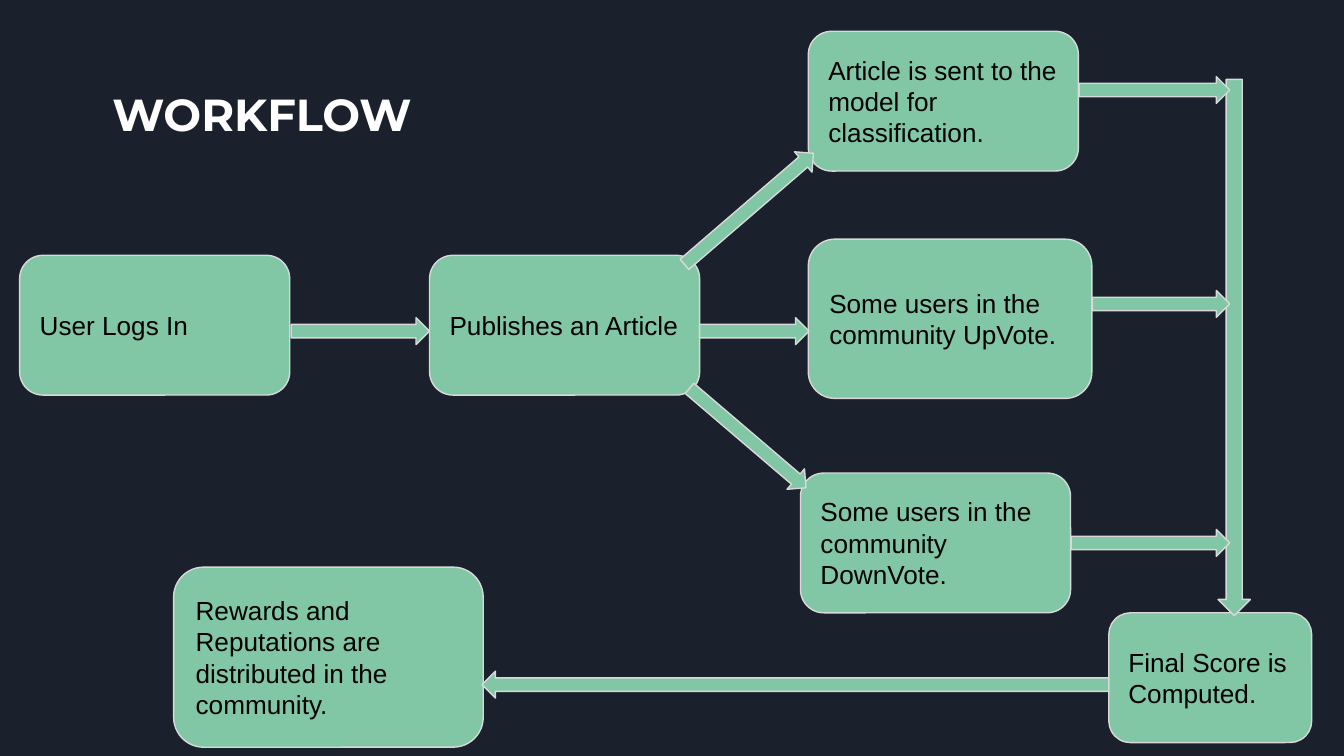
import math
from dataclasses import dataclass

from pptx import Presentation
from pptx import util as u
from pptx.dml.color import RGBColor
from pptx.enum import shapes, text


@dataclass(frozen=True)
class Theme:
    background: str = "1B212C"
    fill: str = "82C7A5"
    outline: str = "D9D9D9"
    body_color: str = "000000"
    title_color: str = "FFFFFF"
    body_font: str = "Arial"
    title_font: str = "Montserrat"
    body_size: int = 14
    title_size: int = 24
    outline_width: float = 0.75


@dataclass(frozen=True)
class Step:
    label: str
    column: float
    row: float
    columns: float = 20.1
    rows: float = 10.4


@dataclass(frozen=True)
class Arrow:
    start: tuple[float, float]
    end: tuple[float, float]
    thickness: float = 2


THEME = Theme()
SLIDE_WIDTH = u.Inches(10)
SLIDE_HEIGHT = SLIDE_WIDTH * 9 // 16
GRID_COLUMNS = 100
CELL = SLIDE_WIDTH / GRID_COLUMNS

LOGIN = Step("User Logs In", 1.46, 19)
PUBLISH = Step("Publishes an Article", 31.96, 19)
CLASSIFY = Step("Article is sent to the model for classification.", 60.14, 2.33)
UPVOTE = Step("Some users in the community UpVote.", 60.14, 17.8, 21.1, 11.85)
DOWNVOTE = Step("Some users in the community DownVote.", 59.56, 35.2)
REWARDS = Step("Rewards and Reputations are distributed in the community.", 12.92, 42.2, 23.04, 13.4)
SCORE = Step("Final Score is Computed.", 82.5, 45.6, 15.1, 9.66)
STEPS = [LOGIN, PUBLISH, CLASSIFY, UPVOTE, SCORE, REWARDS, DOWNVOTE]

MAIN_ROW = 24.64
REWARD_ROW = 50.94
COLLECTOR_COLUMN = 91.5
COLLECTED = [(CLASSIFY, 6.7), (UPVOTE, 22.62), (DOWNVOTE, 40.4)]


def right_edge(step: Step) -> float:
    return step.column + step.columns


ARROWS = [
    Arrow((right_edge(LOGIN) + 0.1, MAIN_ROW), (PUBLISH.column, MAIN_ROW)),
    Arrow((50.93, 19.67), (60.53, 11.4)),
    Arrow((91.83, 5.9), (91.83, 45.8), thickness=2.4),
    Arrow((SCORE.column, REWARD_ROW), (right_edge(REWARDS) - 0.1, REWARD_ROW)),
    Arrow((right_edge(PUBLISH), MAIN_ROW), (UPVOTE.column + 0.05, MAIN_ROW)),
    Arrow((51.3, 28.9), (59.97, 36.3)),
    *(Arrow((right_edge(step) + 0.05, row), (COLLECTOR_COLUMN, row)) for step, row in COLLECTED),
]


def cells(*counts: float) -> list[int]:
    return [round(count * CELL) for count in counts]


def write(shape, wording: str, font: str, size: int, color: str, bold: bool, anchor) -> None:
    frame = shape.text_frame
    frame.word_wrap = True
    frame.vertical_anchor = anchor
    frame.margin_left = frame.margin_right = frame.margin_top = frame.margin_bottom = u.Inches(0.1)
    paragraph = frame.paragraphs[0]
    paragraph.alignment = text.PP_ALIGN.LEFT
    run = paragraph.add_run()
    run.text = wording
    run.font.name = font
    run.font.size = u.Pt(size)
    run.font.bold = bold
    run.font.color.rgb = RGBColor.from_string(color)


def add_green_shape(slide, kind, column: float, row: float, columns: float, rows: float):
    shape = slide.shapes.add_shape(kind, *cells(column, row, columns, rows))
    shape.shadow.inherit = False
    shape.fill.solid()
    shape.fill.fore_color.rgb = RGBColor.from_string(THEME.fill)
    shape.line.color.rgb = RGBColor.from_string(THEME.outline)
    shape.line.width = u.Pt(THEME.outline_width)
    return shape


def add_step(slide, step: Step) -> None:
    kind = shapes.MSO_SHAPE.ROUNDED_RECTANGLE
    shape = add_green_shape(slide, kind, step.column, step.row, step.columns, step.rows)
    write(shape, step.label, THEME.body_font, THEME.body_size, THEME.body_color,
          False, text.MSO_ANCHOR.MIDDLE)


def add_arrow(slide, arrow: Arrow) -> None:
    (start_column, start_row), (end_column, end_row) = arrow.start, arrow.end
    length = math.dist(arrow.start, arrow.end)
    column = (start_column + end_column - length) / 2
    row = (start_row + end_row - arrow.thickness) / 2
    shape = add_green_shape(slide, shapes.MSO_SHAPE.RIGHT_ARROW, column, row, length, arrow.thickness)
    shape.rotation = math.degrees(math.atan2(end_row - start_row, end_column - start_column))


def add_title(slide, wording: str) -> None:
    box = slide.shapes.add_textbox(*cells(7.38, 5.45, 80, 9.3))
    write(box, wording, THEME.title_font, THEME.title_size, THEME.title_color,
          True, text.MSO_ANCHOR.TOP)


def main() -> None:
    presentation = Presentation()
    presentation.slide_width = SLIDE_WIDTH
    presentation.slide_height = SLIDE_HEIGHT
    slide = presentation.slides.add_slide(presentation.slide_layouts[6])
    slide.background.fill.solid()
    slide.background.fill.fore_color.rgb = RGBColor.from_string(THEME.background)
    for step in STEPS:
        add_step(slide, step)
    for arrow in ARROWS:
        add_arrow(slide, arrow)
    add_title(slide, "WORKFLOW")
    presentation.save("out.pptx")


if __name__ == "__main__":
    main()
